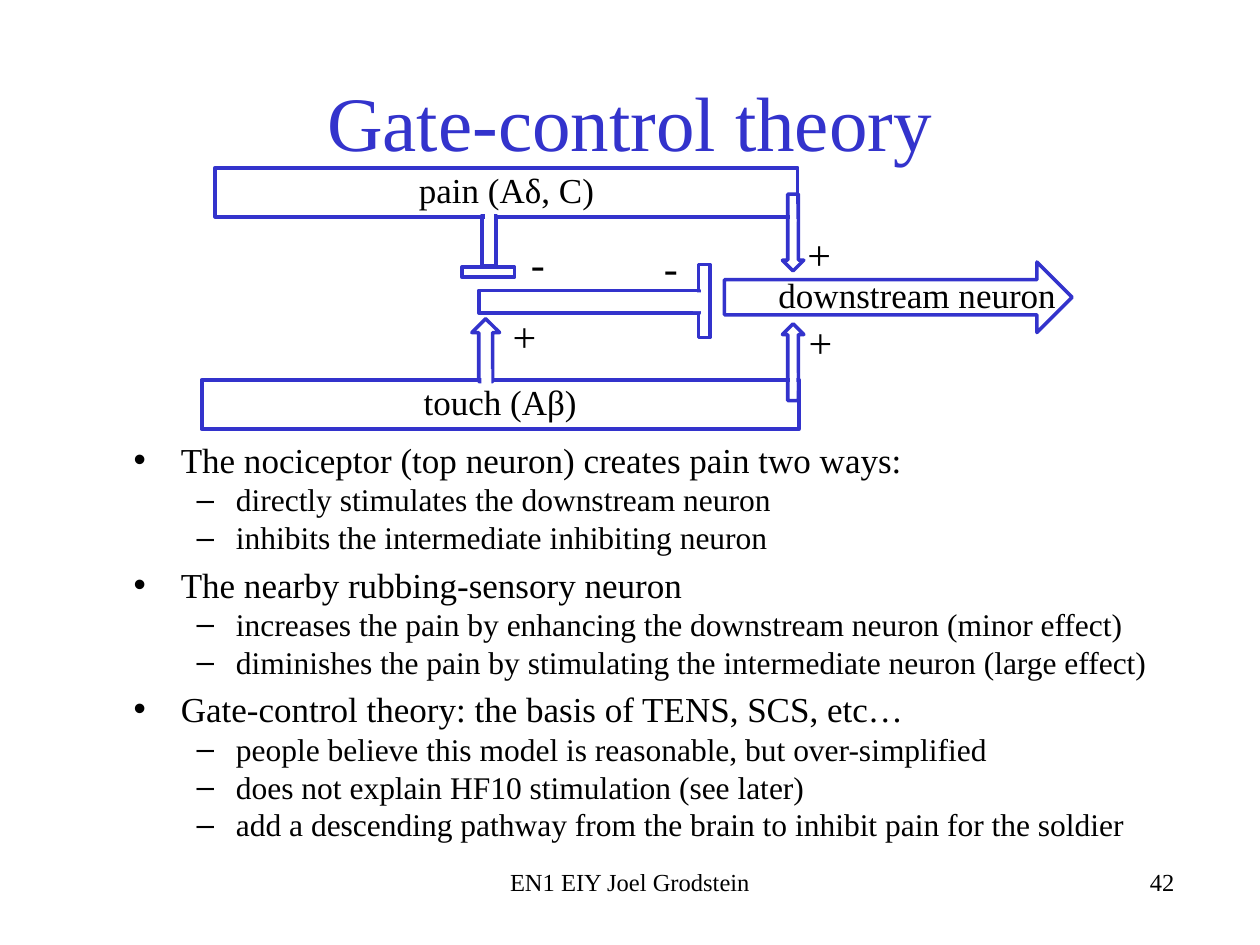
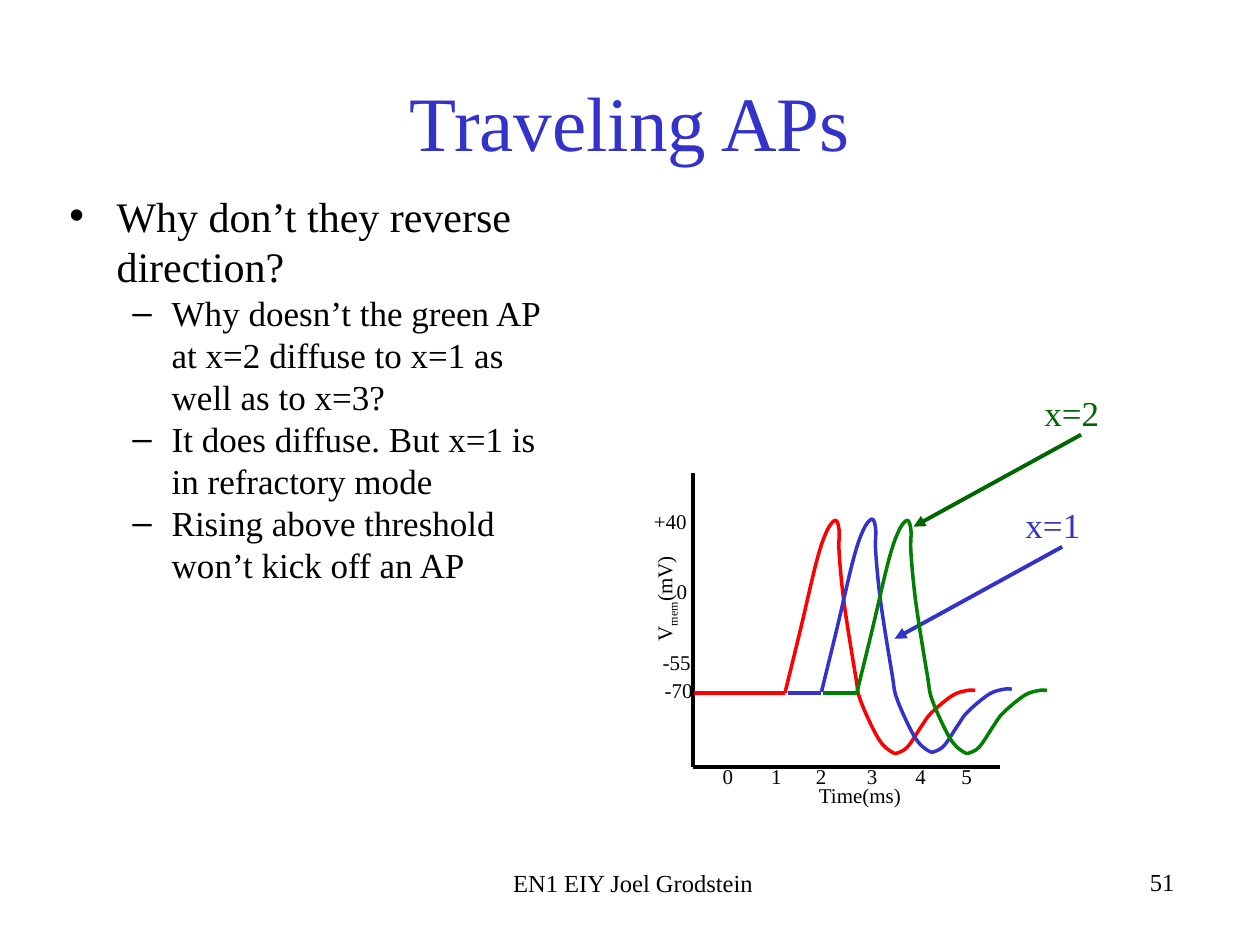
from dataclasses import dataclass

from lxml.etree import SubElement
from pptx import Presentation
from pptx.dml.color import RGBColor
from pptx.enum.shapes import MSO_CONNECTOR, MSO_SHAPE
from pptx.enum.text import MSO_ANCHOR, MSO_AUTO_SIZE, PP_ALIGN
from pptx.oxml.ns import qn
from pptx.util import Inches, Pt

COLUMNS, ROWS = 100, 75
CELL = Inches(10) / COLUMNS


@dataclass(frozen=True)
class Theme:
    font: str = "Times New Roman"
    ink: str = "000000"
    accent: str = "3333CC"
    paper: str = "FFFFFF"
    red: str = "FF0000"
    green: str = "008000"
    dark_green: str = "006600"
    title: int = 44
    lead: int = 24
    sign: int = 24
    label: int = 20
    detail: int = 18
    footer: int = 14
    axis: int = 12
    outline: float = 2
    heavy: float = 2.25


THEME = Theme()
FOOTER = "EN1 EIY Joel Grodstein"
SPIKE = [
    (0, 0), (1.2, -4.9), (2.5, -10.4), (3.3, -12.8), (4, -13.7), (4.3, -12.9),
    (4.3, -11.1), (4.7, -7.1), (5.6, -1.4), (6, 0.6), (7.4, 3.6), (8.5, 4.7),
    (9.1, 4.7), (9.8, 4.2), (10.8, 2.7), (11.6, 1.6), (13.3, 0.2), (14.5, -0.2),
    (15.1, -0.2),
]


def grid(*cells):
    return [round(cell * CELL) for cell in cells]


def rgb(color):
    return RGBColor.from_string(color)


def add_run(paragraph, text, size, color=THEME.ink, baseline=None):
    run = paragraph.add_run()
    run.text = text
    run.font.name = THEME.font
    run.font.size = Pt(size)
    run.font.color.rgb = rgb(color)
    if baseline:
        run.font._element.set("baseline", str(baseline * 1000))


def set_title(slide, text):
    title = slide.shapes.title
    title.left, title.top, title.width, title.height = grid(7.5, 3.3, 85, 12.5)
    frame = title.text_frame
    frame.auto_size = MSO_AUTO_SIZE.NONE
    frame.vertical_anchor = MSO_ANCHOR.MIDDLE
    frame.paragraphs[0].alignment = PP_ALIGN.CENTER
    add_run(frame.paragraphs[0], text, THEME.title, THEME.accent)


def set_outline(slide, place, topics, sizes):
    body = slide.placeholders[1]
    body.left, body.top, body.width, body.height = grid(*place)
    frame = body.text_frame
    frame.auto_size = MSO_AUTO_SIZE.NONE
    lines = [(level, text) for topic, details in topics
             for level, text in [(0, topic)] + [(1, detail) for detail in details]]
    for index, (level, text) in enumerate(lines):
        paragraph = frame.add_paragraph() if index else frame.paragraphs[0]
        paragraph.level = level
        paragraph.space_before = Pt(sizes[0] * 0.2 if index and level == 0 else 0)
        add_run(paragraph, text, sizes[level])


def add_text(shapes, place, text, size, color=THEME.ink, align=PP_ALIGN.LEFT):
    frame = shapes.add_textbox(*grid(*place)).text_frame
    frame.word_wrap = True
    frame.paragraphs[0].alignment = align
    add_run(frame.paragraphs[0], text, size, color)


def add_axis_text(shapes, place, runs, rotation=0):
    label = shapes.add_textbox(*grid(*place))
    label.rotation = rotation
    frame = label.text_frame
    frame.word_wrap = False
    frame.auto_size = MSO_AUTO_SIZE.SHAPE_TO_FIT_TEXT
    frame.margin_left = frame.margin_right = frame.margin_top = frame.margin_bottom = 0
    for text, baseline in runs:
        add_run(frame.paragraphs[0], text, THEME.axis, baseline=baseline)


def add_outlined(shapes, kind, place, weight=THEME.outline):
    part = shapes.add_shape(kind, *grid(*place))
    part.shadow.inherit = False
    part.fill.background()
    part.line.color.rgb = rgb(THEME.accent)
    part.line.width = Pt(weight)
    return part


def add_neuron(shapes, place, text):
    frame = add_outlined(shapes, MSO_SHAPE.RECTANGLE, place, THEME.heavy).text_frame
    frame.margin_left = frame.margin_right = frame.margin_top = 0
    frame.margin_bottom = Inches(0.05)
    frame.word_wrap = False
    frame.vertical_anchor = MSO_ANCHOR.MIDDLE
    frame.paragraphs[0].alignment = PP_ALIGN.CENTER
    add_run(frame.paragraphs[0], text, THEME.label)


def add_opening(shapes, place):
    opening = shapes.add_shape(MSO_SHAPE.RECTANGLE, *grid(*place))
    opening.shadow.inherit = False
    opening.fill.solid()
    opening.fill.fore_color.rgb = rgb(THEME.paper)
    opening.line.fill.background()


def add_line(shapes, start, end, color, arrow=False):
    line = shapes.add_connector(MSO_CONNECTOR.STRAIGHT, *grid(*start, *end))
    line.line.color.rgb = rgb(color)
    line.line.width = Pt(THEME.heavy)
    properties = line._element.spPr
    if arrow:
        SubElement(properties.find(qn("a:ln")), qn("a:tailEnd"), type="triangle")
    SubElement(properties, qn("a:effectLst"))


def bend(freeform):
    outline = next(freeform._element.iter(qn("a:path")))
    knots = [(int(point.get("x")), int(point.get("y"))) for point in outline.iter(qn("a:pt"))]
    padded = [knots[0], *knots, knots[-1]]
    for segment in outline.findall(qn("a:lnTo")):
        outline.remove(segment)
    for before, start, end, after in zip(padded, padded[1:], padded[2:], padded[3:]):
        leaving = [b + (c - a) / 6 for a, b, c in zip(before, start, end)]
        arriving = [c - (d - b) / 6 for b, c, d in zip(start, end, after)]
        curve = SubElement(outline, qn("a:cubicBezTo"))
        for x, y in (leaving, arriving, end):
            SubElement(curve, qn("a:pt"), x=str(round(x)), y=str(round(y)))


def add_spike(shapes, left, base, color):
    knots = [grid(left + x, base + y) for x, y in SPIKE]
    builder = shapes.build_freeform(*knots[0])
    builder.add_line_segments(knots[1:], close=False)
    spike = builder.convert_to_shape()
    bend(spike)
    spike.shadow.inherit = False
    spike.fill.background()
    spike.line.color.rgb = rgb(color)
    spike.line.width = Pt(THEME.outline)


def add_slide(deck, title, number, footer_place):
    slide = deck.slides.add_slide(deck.slide_layouts[1])
    set_title(slide, title)
    add_text(slide.shapes, (62.5, 68.3, 31.7, 5), number, THEME.footer, align=PP_ALIGN.RIGHT)
    add_text(slide.shapes, (*footer_place, 31.7, 3.4), FOOTER, THEME.footer,
             align=PP_ALIGN.CENTER)
    return slide


def draw_circuit(slide):
    circuit = slide.shapes.add_group_shape().shapes
    add_outlined(circuit, MSO_SHAPE.RIGHT_ARROW, (57.5, 20.8, 27.6, 5.6))
    add_text(circuit, (60.8, 21.2, 24.2, 4.4), "downstream neuron", THEME.label)
    for bar in [(55.45, 21, 0.9, 5.8), (38, 23.05, 17.5, 1.8)]:
        add_outlined(circuit, MSO_SHAPE.RECTANGLE, bar)
    add_neuron(circuit, (17.1, 13.3, 46.2, 3.9), "pain (Aδ, C)")
    add_neuron(circuit, (16, 30.15, 47.4, 3.9), "touch (Aβ)")
    for bar in [(38.25, 17.1, 1.1, 4), (36.65, 21.2, 4.2, 0.8)]:
        add_outlined(circuit, MSO_SHAPE.RECTANGLE, bar)
    add_outlined(circuit, MSO_SHAPE.UP_ARROW, (62.1, 25.7, 1.7, 6.1))
    add_outlined(circuit, MSO_SHAPE.UP_ARROW, (37.45, 25.3, 2.2, 5))
    add_outlined(circuit, MSO_SHAPE.DOWN_ARROW, (62.1, 15.4, 1.7, 6.1))
    for opening in [(38.5, 16.7, 0.7, 1.4), (38.2, 29.3, 0.8, 1.4), (55, 23.2, 0.8, 1.5),
                    (62.7, 16.2, 0.5, 1.4), (62.7, 29.6, 0.5, 1.4)]:
        add_opening(circuit, opening)
    for sign, left, top in [("+", 63.1, 17.65), ("+", 63.2, 24.6), ("+", 39.7, 24.15),
                            ("-", 41.15, 18.35), ("-", 51.7, 18.7)]:
        add_text(circuit, (left, top, 4.2, 5), sign, THEME.sign)


def draw_axes(shapes):
    origin = (55, 60.9)
    add_line(shapes, origin, (79.4, 60.9), THEME.ink)
    add_line(shapes, origin, (55, 37.5), THEME.ink)
    add_axis_text(shapes, (65, 62.1, 6.6, 2), [("Time(ms)", None)])
    for time, left in enumerate([57.35, 61.2, 64.75, 68.8, 72.65, 76.3]):
        add_axis_text(shapes, (left, 60.6, 0.85, 2), [(str(time), None)])
    add_axis_text(shapes, (49.15, 46.35, 7.1, 2),
                  [("V", None), ("mem", -25), ("(mV)", None)], rotation=270)
    for voltage, left, top, width in [("-55", 52.6, 51.55, 2.3), ("-70", 52.75, 53.75, 2.3),
                                      ("0", 53.7, 45.9, 0.85), ("+40", 51.9, 40.4, 2.7)]:
        add_axis_text(shapes, (left, top, width, 2), [(voltage, None)])


def draw_potential(shapes, rest_start, spike_start, color, base=55):
    add_spike(shapes, spike_start, base, color)
    add_line(shapes, (rest_start, 55), (spike_start, 55), color)


def add_callout(shapes, text, left, top, color):
    add_text(shapes, (left, top, 6.5, 4.4), text, THEME.label, color)
    add_line(shapes, (left + 3.9, top + 3.9), (left - 9.4, top + 11.2), color, arrow=True)


def build_gate_control(deck):
    slide = add_slide(deck, "Gate-control theory", "42", (34.15, 68.3))
    set_outline(slide, (9.6, 34.3, 82.9, 36.2), [
        ("The nociceptor (top neuron) creates pain two ways:", [
            "directly stimulates the downstream neuron",
            "inhibits the intermediate inhibiting neuron"]),
        ("The nearby rubbing-sensory neuron", [
            "increases the pain by enhancing the downstream neuron (minor effect)",
            "diminishes the pain by stimulating the intermediate neuron (large effect)"]),
        ("Gate-control theory: the basis of TENS, SCS, etc…", [
            "people believe this model is reasonable, but over-simplified",
            "does not explain HF10 stimulation (see later)",
            "add a descending pathway from the brain to inhibit pain for the soldier"]),
    ], (THEME.label, THEME.detail))
    draw_circuit(slide)


def build_traveling_potentials(deck):
    slide = add_slide(deck, "Traveling APs", "51", (34.4, 68.4))
    set_outline(slide, (4.5, 14.6, 39.9, 36.9), [
        ("Why don’t they reverse direction?", [
            "Why doesn’t the green AP at x=2 diffuse to x=1 as well as to x=3?",
            "It does diffuse. But x=1 is in refractory mode",
            "Rising above threshold won’t kick off an AP"]),
    ], (THEME.lead, THEME.label))
    draw_axes(slide.shapes)
    draw_potential(slide.shapes, 55.1, 62.3, THEME.red)
    nearer = slide.shapes.add_group_shape().shapes
    draw_potential(nearer, 62.5, 65.2, THEME.accent, base=54.9)
    add_callout(nearer, "x=1", 80.4, 39.5, THEME.accent)
    farther = slide.shapes.add_group_shape().shapes
    draw_potential(farther, 65.3, 68, THEME.green)
    add_callout(farther, "x=2", 81.9, 30.6, THEME.dark_green)


def main():
    deck = Presentation()
    deck.slide_width, deck.slide_height = grid(COLUMNS, ROWS)
    build_gate_control(deck)
    build_traveling_potentials(deck)
    deck.save("out.pptx")


if __name__ == "__main__":
    main()
